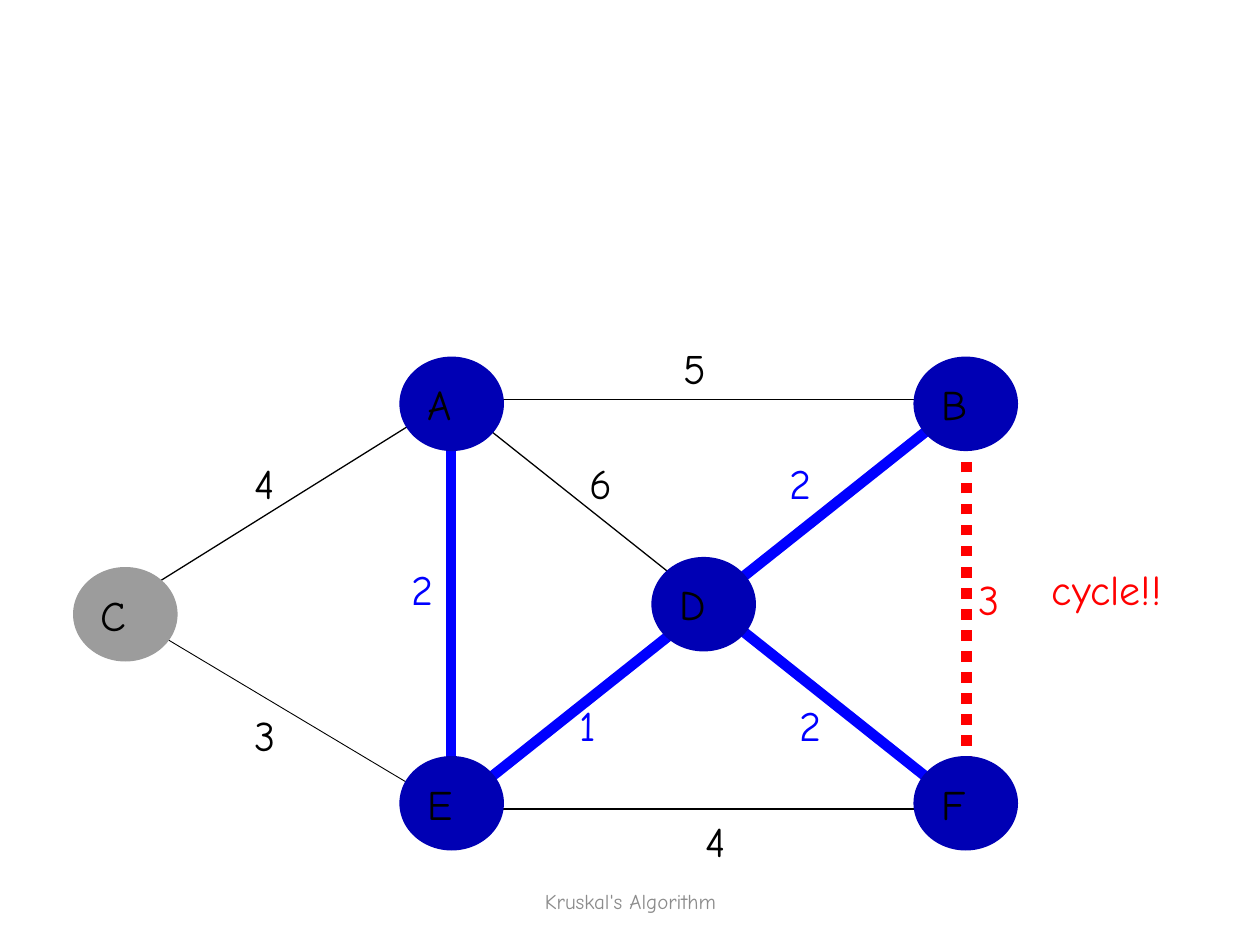
from pptx import Presentation
from pptx.dml.color import RGBColor
from pptx.enum.dml import MSO_LINE
from pptx.enum.shapes import MSO_CONNECTOR, MSO_SHAPE
from pptx.enum.text import MSO_ANCHOR, PP_ALIGN
from pptx.oxml.ns import qn
from pptx.util import Inches, Pt
from lxml import etree

COLORS = {"black": "000000", "blue": "0000FF", "red": "FF0000",
          "node": "0000B4", "open": "9C9C9C", "footer": "8C8C8C"}
NODE_W, NODE_H = 0.83, 0.75

prs = Presentation()
prs.slide_width, prs.slide_height = Inches(10), Inches(7.5)
s = prs.slides.add_slide(prs.slide_layouts[6])


def rgb(name):
    return RGBColor.from_string(COLORS[name])


def write(sp, text, size=24, color="black", align=PP_ALIGN.LEFT,
          anchor=MSO_ANCHOR.TOP, wrap=True):
    tf = sp.text_frame
    tf.word_wrap = wrap
    tf.vertical_anchor = anchor
    p = tf.paragraphs[0]
    p.alignment = align
    r = p.add_run()
    r.text = text
    r.font.name = "Comic Neue"
    r.font.size = Pt(size)
    r.font.color.rgb = rgb(color)


# Footer
sp = s.shapes.add_textbox(Inches(3.42), Inches(6.95), Inches(3.17), Inches(0.4))
write(sp, "Kruskal's Algorithm", size=12, color="footer",
      align=PP_ALIGN.CENTER, anchor=MSO_ANCHOR.MIDDLE)

# Edges: x1, y1, x2, y2, colour, width
edges = [
    (3.58, 6.42, 7.67, 6.42, "black", 0.75),
    (7.67, 6.42, 7.67, 3.17, "red", 6),
    (7.67, 3.17, 3.58, 3.17, "black", 0.75),
    (3.58, 3.17, 3.58, 6.42, "blue", 6),
    (5.67, 4.83, 7.67, 6.42, "blue", 6),
    (3.58, 3.17, 5.67, 4.83, "black", 0.75),
    (5.58, 4.83, 3.58, 6.42, "blue", 6),
    (5.58, 4.83, 7.67, 3.17, "blue", 6),
    (0.92, 4.83, 3.58, 3.17, "black", 0.75),
    (0.92, 4.83, 3.58, 6.42, "black", 0.5),
]
for x1, y1, x2, y2, color, width in edges:
    edge = s.shapes.add_connector(MSO_CONNECTOR.STRAIGHT, Inches(x1), Inches(y1),
                                  Inches(x2), Inches(y2))
    edge.line.color.rgb = rgb(color)
    edge.line.width = Pt(width)
    if color == "red":
        edge.line.dash_style = MSO_LINE.ROUND_DOT
    etree.SubElement(edge._element.spPr, qn("a:effectLst"))

# Nodes
nodes = [("C", 0.58, 4.5, "open"), ("F", 7.25, 6, "node"), ("E", 3.17, 6, "node"),
         ("A", 3.17, 2.83, "node"), ("B", 7.25, 2.83, "node"), ("D", 5.17, 4.42, "node")]
for name, x, y, fill in nodes:
    sp = s.shapes.add_shape(MSO_SHAPE.OVAL, Inches(x), Inches(y),
                            Inches(NODE_W), Inches(NODE_H))
    sp.shadow.inherit = False
    sp.fill.solid()
    sp.fill.fore_color.rgb = rgb(fill)
    sp.line.fill.background()
    write(sp, name, anchor=MSO_ANCHOR.MIDDLE)

# Edge weights
weights = [("5", 5.33, 2.67, "black"), ("6", 4.58, 3.58, "black"),
           ("4", 1.92, 3.58, "black"), ("3", 1.92, 5.58, "black"),
           ("4", 5.5, 6.42, "black"), ("2", 3.17, 4.42, "blue"),
           ("1", 4.5, 5.5, "blue"), ("2", 6.25, 5.5, "blue"),
           ("3", 7.67, 4.5, "red"), ("2", 6.17, 3.58, "blue")]
for text, x, y, color in weights:
    sp = s.shapes.add_textbox(Inches(x), Inches(y), Inches(0.5), Inches(0.5))
    write(sp, text, color=color)

# Cycle warning
sp = s.shapes.add_textbox(Inches(8.25), Inches(4.42), Inches(1.12), Inches(0.5))
write(sp, "cycle!!", color="red", wrap=False)

prs.save("out.pptx")
